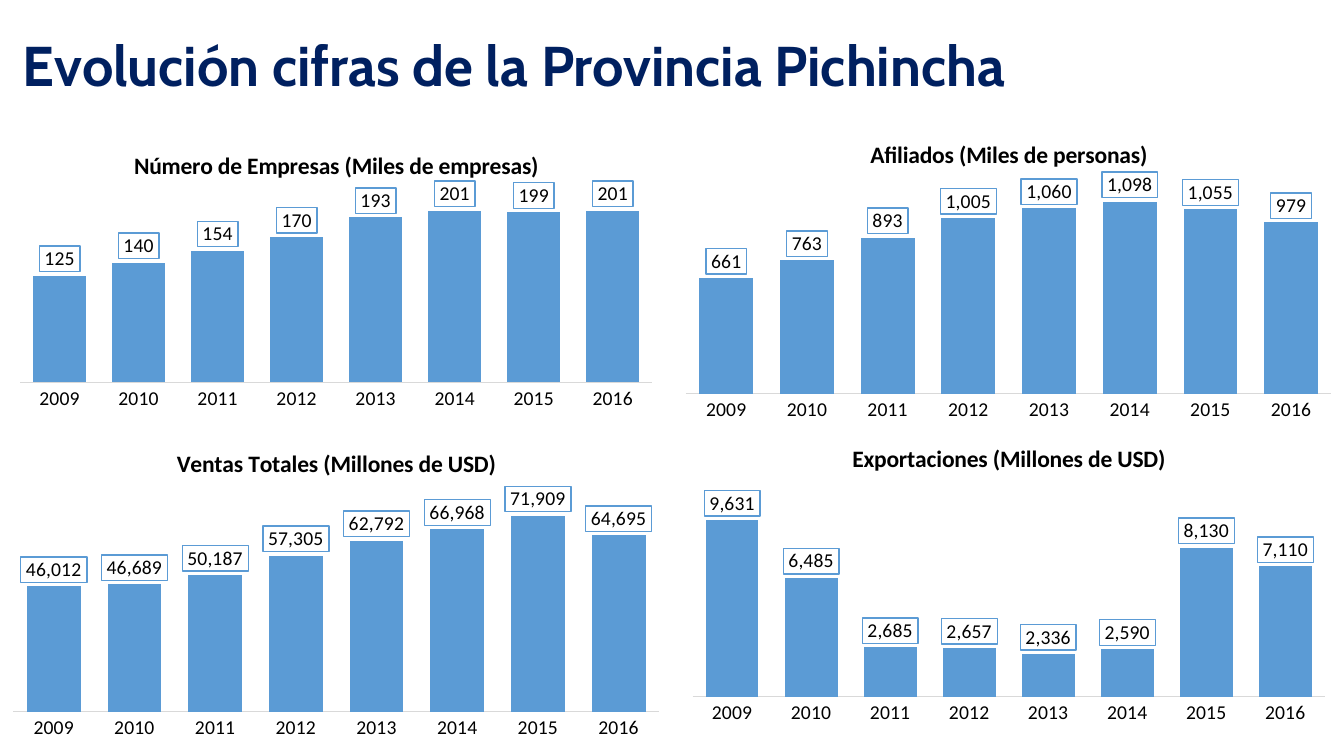
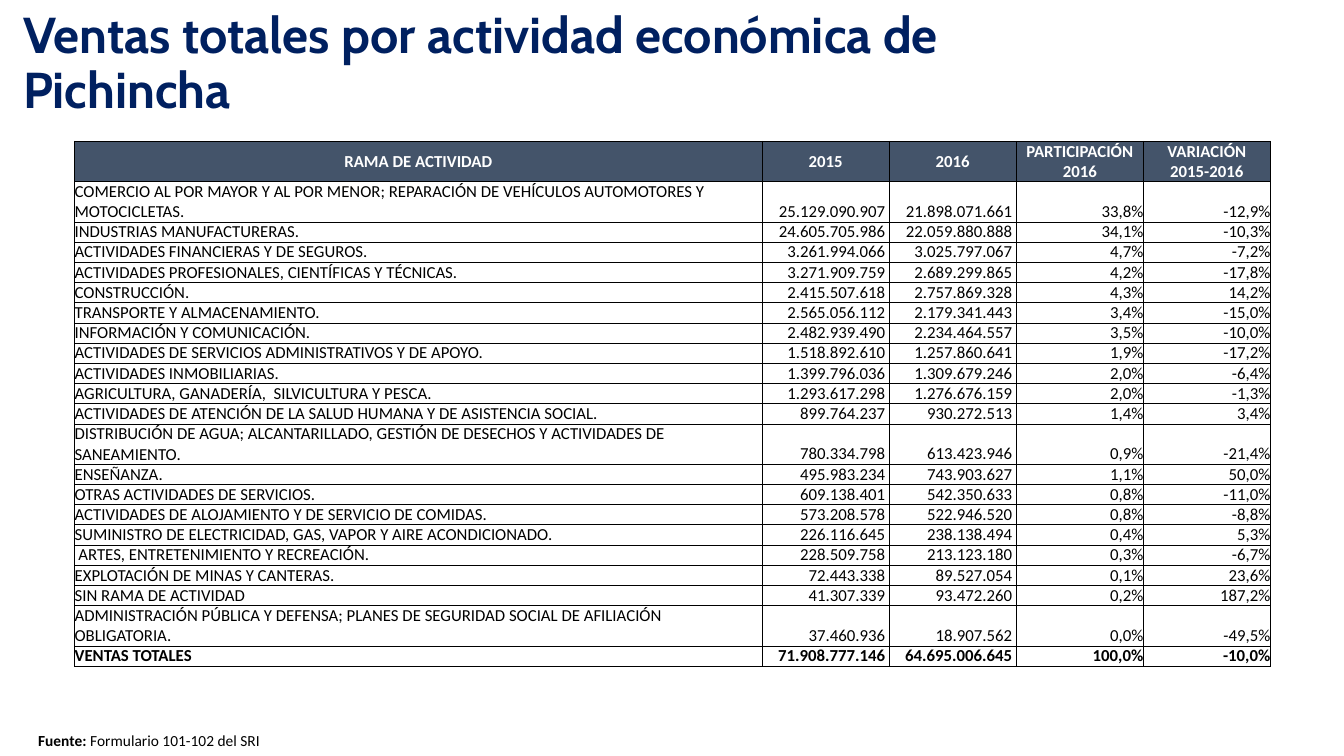
"""Builds two slides on the economy of Pichincha: four column charts and a sales table."""
import pptx
import pptx.chart.data
import pptx.dml.color
import pptx.enum.chart
import pptx.enum.text
import pptx.oxml
import pptx.oxml.ns
import pptx.util

Inches, Pt = pptx.util.Inches, pptx.util.Pt
ALIGN, ANCHOR = pptx.enum.text.PP_ALIGN, pptx.enum.text.MSO_ANCHOR

COLORS = {
    "title": "002060",
    "text": "000000",
    "white": "FFFFFF",
    "column": "5B9BD5",
    "axis": "D9D9D9",
    "header": "44546A",
    "border": "000000",
}
TITLE = {"name": "Cabin", "size": Pt(40), "bold": True, "color": "title"}
BODY = {"name": "Calibri", "size": Pt(12), "bold": False, "color": "text"}
CHART_TEXT = {**BODY, "size": Pt(14)}
CHART_TITLE = {**BODY, "size": Pt(16.8), "bold": True}
SOURCE = {**BODY, "size": Pt(11)}
HEADER = {**BODY, "bold": True, "color": "white"}
TOTAL = {**BODY, "bold": True}


def style_font(font, values):
    for key, value in values.items():
        if key == "color":
            font.color.rgb = pptx.dml.color.RGBColor.from_string(COLORS[value])
        else:
            setattr(font, key, value)


def add_text(page, place, spans, anchor=ANCHOR.TOP, line_spacing=1.0):
    box = page.shapes.add_textbox(*map(Inches, place))
    frame = box.text_frame
    frame.word_wrap = True
    frame.vertical_anchor = anchor
    para = frame.paragraphs[0]
    para.line_spacing = line_spacing
    for text, values in spans:
        span = para.add_run()
        span.text = text
        style_font(span.font, values)


deck = pptx.Presentation()
deck.slide_width, deck.slide_height = Inches(13.33), Inches(7.5)
blank = deck.slide_layouts[6]

page = deck.slides.add_slide(blank)
add_text(page, (0.13, 0.02, 10.4, 1.31),
         [("Evolución cifras de la Provincia Pichincha", TITLE)], ANCHOR.MIDDLE, 0.9)

YEARS = [str(year) for year in range(2009, 2017)]
NUMBER_FORMAT = '_ * #,##0_ ;_ * \\-#,##0_ ;_ * "-"??_ ;_ '
CHARTS = [
    ("Número de Empresas (Miles de empresas)", (0, 1.33, 6.67, 3.12),
     (0.03, 0.11, 0.94, 0.68), 250,
     (125, 140, 154, 170, 193, 201, 199, 201)),
    ("Afiliados (Miles de personas)", (6.67, 1.22, 6.67, 3.02),
     (0.02, 0.2, 0.96, 0.69), 1200,
     (661, 763, 893, 1005, 1060, 1098, 1055, 979)),
    ("Ventas Totales (Millones de USD)", (0, 4.28, 6.67, 3.09),
     (0.02, 0.2, 0.96, 0.7), 80000,
     (46012, 46689, 50187, 57305, 62792, 66968, 71909, 64695)),
    ("Exportaciones (Millones de USD)", (6.67, 4.23, 6.67, 3.12),
     (0.03, 0.16, 0.94, 0.7), 12000,
     (9631, 6485, 2685, 2657, 2336, 2590, 8130, 7110)),
]
CHART_NS = pptx.oxml.ns.nsdecls("c", "a")

for title, place, plot_place, maximum, values in CHARTS:
    data = pptx.chart.data.CategoryChartData()
    data.categories = YEARS
    data.add_series(title, values)
    chart = page.shapes.add_chart(
        pptx.enum.chart.XL_CHART_TYPE.COLUMN_CLUSTERED, *map(Inches, place), data).chart
    style_font(chart.font, CHART_TEXT)
    chart.has_legend = False
    chart.has_title = True
    chart.chart_title.include_in_layout = False
    span = chart.chart_title.text_frame.paragraphs[0].add_run()
    span.text = title
    style_font(span.font, CHART_TITLE)

    years_axis, value_axis = chart.category_axis, chart.value_axis
    years_axis.major_tick_mark = pptx.enum.chart.XL_TICK_MARK.NONE
    years_axis.format.line.width = Pt(0.75)
    years_axis.format.line.color.rgb = pptx.dml.color.RGBColor.from_string(COLORS["axis"])
    style_font(years_axis.tick_labels.font, CHART_TEXT)
    value_axis.visible = False
    value_axis.has_major_gridlines = False
    value_axis.minimum_scale, value_axis.maximum_scale = 0, maximum

    plot = chart.plots[0]
    plot.gap_width, plot.overlap = 50, -27
    plot.vary_by_categories = False
    fill = plot.series[0].format.fill
    fill.solid()
    fill.fore_color.rgb = pptx.dml.color.RGBColor.from_string(COLORS["column"])

    labels = plot.series[0].data_labels
    labels.show_value = True
    labels.number_format = NUMBER_FORMAT
    labels.number_format_is_linked = False
    labels.position = pptx.enum.chart.XL_LABEL_POSITION.OUTSIDE_END
    style_font(labels.font, CHART_TEXT)
    label_text = chart.element.xpath(".//c:ser/c:dLbls/c:txPr")[0]
    label_text.addprevious(pptx.oxml.parse_xml(
        f'<c:spPr {CHART_NS}><a:solidFill><a:srgbClr val="{COLORS["white"]}"/></a:solidFill>'
        f'<a:ln w="{Pt(1)}"><a:solidFill><a:srgbClr val="{COLORS["column"]}"/></a:solidFill>'
        '</a:ln></c:spPr>'))

    plot_area = chart.element.xpath(".//c:plotArea")[0]
    for layout in plot_area.xpath("./c:layout"):
        plot_area.remove(layout)
    sizes = "".join(f'<c:{key} val="{size}"/>' for key, size in zip("xywh", plot_place))
    plot_area.insert(0, pptx.oxml.parse_xml(
        f'<c:layout {CHART_NS}><c:manualLayout><c:layoutTarget val="inner"/>'
        f'<c:xMode val="edge"/><c:yMode val="edge"/>{sizes}</c:manualLayout></c:layout>'))

page = deck.slides.add_slide(blank)
add_text(page, (0.13, 0.02, 10.75, 1.24),
         [("Ventas totales por actividad económica de Pichincha", {**TITLE, "size": Pt(36)})],
         ANCHOR.MIDDLE, 0.9)
add_text(page, (0.28, 7.2, 7.58, 0.29),
         [("Fuente: ", {**SOURCE, "bold": True}), ("Formulario 101-102 del SRI", SOURCE)])

ROWS = [
    ("RAMA DE ACTIVIDAD", "2015", "2016", "PARTICIPACIÓN\n2016", "VARIACIÓN\n2015-2016"),
    ("COMERCIO AL POR MAYOR Y AL POR MENOR; REPARACIÓN DE VEHÍCULOS AUTOMOTORES Y MOTOCICLETAS.",
     "25.129.090.907", "21.898.071.661", "33,8%", "-12,9%"),
    ("INDUSTRIAS MANUFACTURERAS.", "24.605.705.986", "22.059.880.888", "34,1%", "-10,3%"),
    ("ACTIVIDADES FINANCIERAS Y DE SEGUROS.", "3.261.994.066", "3.025.797.067", "4,7%", "-7,2%"),
    ("ACTIVIDADES PROFESIONALES, CIENTÍFICAS Y TÉCNICAS.",
     "3.271.909.759", "2.689.299.865", "4,2%", "-17,8%"),
    ("CONSTRUCCIÓN.", "2.415.507.618", "2.757.869.328", "4,3%", "14,2%"),
    ("TRANSPORTE Y ALMACENAMIENTO.", "2.565.056.112", "2.179.341.443", "3,4%", "-15,0%"),
    ("INFORMACIÓN Y COMUNICACIÓN.", "2.482.939.490", "2.234.464.557", "3,5%", "-10,0%"),
    ("ACTIVIDADES DE SERVICIOS ADMINISTRATIVOS Y DE APOYO.",
     "1.518.892.610", "1.257.860.641", "1,9%", "-17,2%"),
    ("ACTIVIDADES INMOBILIARIAS.", "1.399.796.036", "1.309.679.246", "2,0%", "-6,4%"),
    ("AGRICULTURA, GANADERÍA,  SILVICULTURA Y PESCA.",
     "1.293.617.298", "1.276.676.159", "2,0%", "-1,3%"),
    ("ACTIVIDADES DE ATENCIÓN DE LA SALUD HUMANA Y DE ASISTENCIA SOCIAL.",
     "899.764.237", "930.272.513", "1,4%", "3,4%"),
    ("DISTRIBUCIÓN DE AGUA; ALCANTARILLADO, GESTIÓN DE DESECHOS Y ACTIVIDADES DE SANEAMIENTO.",
     "780.334.798", "613.423.946", "0,9%", "-21,4%"),
    ("ENSEÑANZA.", "495.983.234", "743.903.627", "1,1%", "50,0%"),
    ("OTRAS ACTIVIDADES DE SERVICIOS.", "609.138.401", "542.350.633", "0,8%", "-11,0%"),
    ("ACTIVIDADES DE ALOJAMIENTO Y DE SERVICIO DE COMIDAS.",
     "573.208.578", "522.946.520", "0,8%", "-8,8%"),
    ("SUMINISTRO DE ELECTRICIDAD, GAS, VAPOR Y AIRE ACONDICIONADO.",
     "226.116.645", "238.138.494", "0,4%", "5,3%"),
    (" ARTES, ENTRETENIMIENTO Y RECREACIÓN.", "228.509.758", "213.123.180", "0,3%", "-6,7%"),
    ("EXPLOTACIÓN DE MINAS Y CANTERAS.", "72.443.338", "89.527.054", "0,1%", "23,6%"),
    ("SIN RAMA DE ACTIVIDAD", "41.307.339", "93.472.260", "0,2%", "187,2%"),
    ("ADMINISTRACIÓN PÚBLICA Y DEFENSA; PLANES DE SEGURIDAD SOCIAL DE AFILIACIÓN OBLIGATORIA.",
     "37.460.936", "18.907.562", "0,0%", "-49,5%"),
    ("VENTAS TOTALES", "71.908.777.146", "64.695.006.645", "100,0%", "-10,0%"),
]
WIDTHS = (6.82, 1.26, 1.26, 1.26, 1.26)
LINE_HEIGHT = 0.2
WRAP_LENGTH = 75
TABLE_NS = pptx.oxml.ns.nsdecls("a")

table = page.shapes.add_table(
    len(ROWS), len(WIDTHS), *map(Inches, (0.74, 1.4, sum(WIDTHS), 5.31))).table
table.first_row = table.horz_banding = False
for column, width in zip(table.columns, WIDTHS):
    column.width = Inches(width)

for row_index, texts in enumerate(ROWS):
    is_header = row_index == 0
    values = HEADER if is_header else TOTAL if row_index == len(ROWS) - 1 else BODY
    line_count = 2 if is_header or len(texts[0]) > WRAP_LENGTH else 1
    table.rows[row_index].height = Inches(LINE_HEIGHT * line_count)
    for column_index, text in enumerate(texts):
        cell = table.cell(row_index, column_index)
        is_amount = not is_header and column_index in (1, 2)
        cell.margin_left = cell.margin_top = cell.margin_bottom = 0
        cell.margin_right = Inches(0.04 if is_amount else 0)
        cell.vertical_anchor = ANCHOR.MIDDLE if is_header else ANCHOR.BOTTOM
        cell.text_frame.text = text
        for para in cell.text_frame.paragraphs:
            para.alignment = (ALIGN.CENTER if is_header
                              else ALIGN.RIGHT if column_index else ALIGN.LEFT)
            for span in para.runs:
                style_font(span.font, values)
        for side in "LRTB":
            cell._tc.get_or_add_tcPr().append(pptx.oxml.parse_xml(
                f'<a:ln{side} {TABLE_NS} w="{Pt(0.5)}"><a:solidFill>'
                f'<a:srgbClr val="{COLORS["border"]}"/></a:solidFill></a:ln{side}>'))
        if is_header:
            cell.fill.solid()
            cell.fill.fore_color.rgb = pptx.dml.color.RGBColor.from_string(COLORS["header"])
        else:
            cell.fill.background()

deck.save("out.pptx")
